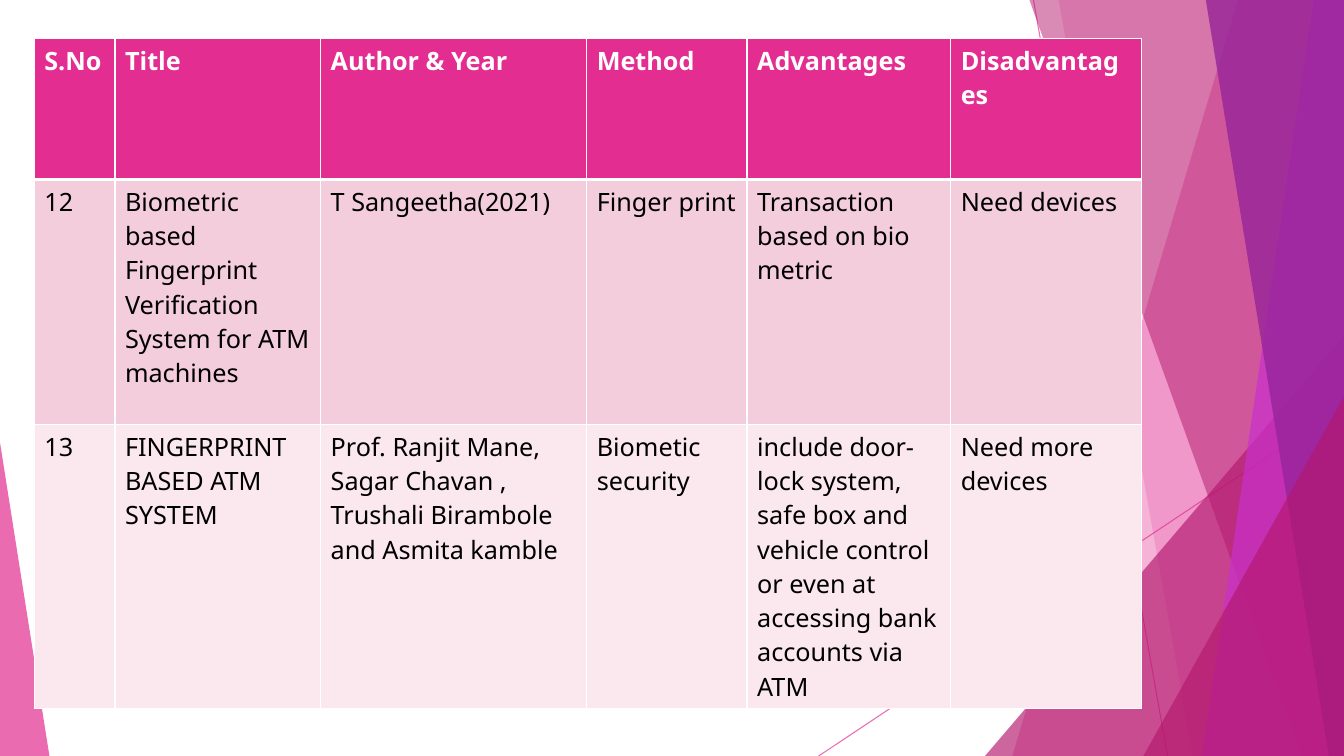
from dataclasses import dataclass

import lxml.etree
import pptx
import pptx.dml.color
import pptx.dml.fill
import pptx.enum.shapes
import pptx.oxml
import pptx.oxml.ns
import pptx.shapes.autoshape
import pptx.shapes.shapetree
import pptx.table
import pptx.util

RGBColor = pptx.dml.color.RGBColor
PINK = RGBColor(0xE3, 0x2D, 0x91)
RASPBERRY = RGBColor(0xB4, 0x18, 0x6E)
VIOLET = RGBColor(0xC8, 0x30, 0xCC)
PURPLE = RGBColor(0x96, 0x24, 0x99)
ROSE = RGBColor(0xF4, 0xCD, 0xDC)
PALE_ROSE = RGBColor(0xFA, 0xE8, 0xEE)
WHITE = RGBColor(0xFF, 0xFF, 0xFF)
BLACK = RGBColor(0, 0, 0)

EMU_PER_PX = 9144  # 100 px to the inch
SLIDE_WIDTH, SLIDE_HEIGHT = 1333, 750
FONT = "Noto Sans"


@dataclass(frozen=True)
class Ray:
    start: tuple[int, int]
    end: tuple[int, int]


@dataclass(frozen=True)
class Band:
    """A facet from its slanted left edge to the right side of the slide."""
    top_left: int
    bottom_left: int
    color: RGBColor
    opacity: int


@dataclass(frozen=True)
class Corner:
    """A right triangle standing on the bottom of the slide."""
    left: int
    top: int
    width: int
    apex: int
    color: RGBColor
    opacity: int


@dataclass(frozen=True)
class RowStyle:
    height: int
    fill: RGBColor
    text: RGBColor
    bold: bool
    top_border: int
    bottom_border: int


RAYS = [Ray((1025, 0), (1158, 750)), Ray((1333, 403), (812, 750))]
FACETS: list[Band | Corner] = [
    Band(1228, 1004, PINK, 36),
    Band(1050, 1183, PINK, 20),
    Corner(977, 333, 356, 1, RASPBERRY, 66),
    Band(1021, 1291, RASPBERRY, 50),
    Band(1303, 1192, VIOLET, 70),
    Band(1196, 1318, PURPLE, 80),
    Corner(1134, 393, 199, 1, RASPBERRY, 66),
    Corner(0, 439, 49, 0, PINK, 70),
]

TABLE_LEFT, TABLE_TOP = 34, 38
COLUMN_WIDTHS = [80, 204, 264, 159, 202, 189]
ROW_STYLES = [
    RowStyle(140, PINK, WHITE, True, 1, 3),
    RowStyle(243, ROSE, BLACK, False, 3, 1),
    RowStyle(243, PALE_ROSE, BLACK, False, 1, 1),
]
SURVEY = [
    ["S.No", "Title", "Author & Year", "Method", "Advantages", "Disadvantages"],
    ["12", "Biometric based Fingerprint Verification System for ATM machines",
     "T Sangeetha(2021)", "Finger print", "Transaction based on bio metric",
     "Need devices"],
    ["13", "FINGERPRINT BASED ATM SYSTEM",
     "Prof. Ranjit Mane, Sagar Chavan , Trushali Birambole and Asmita kamble",
     "Biometic security",
     "include door-lock system, safe box and vehicle control or even at "
     "accessing bank accounts via ATM",
     "Need more devices"],
]


def px(length: int) -> pptx.util.Emu:
    return pptx.util.Emu(length * EMU_PER_PX)


def set_color(fill: pptx.dml.fill.FillFormat, color: RGBColor, opacity: int,
              element: lxml.etree._Element) -> None:
    """Fill solidly and add the opacity, in percent, to the colour inside element."""
    fill.solid()
    fill.fore_color.rgb = color
    color_element = next(element.iter(pptx.oxml.ns.qn("a:srgbClr")))
    alpha = lxml.etree.SubElement(color_element, pptx.oxml.ns.qn("a:alpha"))
    alpha.set("val", str(opacity * 1000))


def draw_ray(shapes: pptx.shapes.shapetree.SlideShapes, ray: Ray) -> None:
    line = shapes.add_connector(pptx.enum.shapes.MSO_CONNECTOR.STRAIGHT,
                                *map(px, ray.start + ray.end))
    line.line.width = pptx.util.Pt(0.75)
    properties = line._element.spPr
    set_color(line.line.fill, PINK, 70, properties)
    lxml.etree.SubElement(properties, pptx.oxml.ns.qn("a:effectLst"))


def add_band(shapes: pptx.shapes.shapetree.SlideShapes,
             band: Band) -> pptx.shapes.autoshape.Shape:
    outline = shapes.build_freeform(band.top_left, 0, scale=EMU_PER_PX)
    outline.add_line_segments([(SLIDE_WIDTH, 0), (SLIDE_WIDTH, SLIDE_HEIGHT),
                               (band.bottom_left, SLIDE_HEIGHT)])
    return outline.convert_to_shape()


def add_corner(shapes: pptx.shapes.shapetree.SlideShapes,
               corner: Corner) -> pptx.shapes.autoshape.Shape:
    triangle = shapes.add_shape(
        pptx.enum.shapes.MSO_SHAPE.ISOSCELES_TRIANGLE, px(corner.left),
        px(corner.top), px(corner.width), px(SLIDE_HEIGHT - corner.top))
    triangle.adjustments[0] = corner.apex
    return triangle


def draw_facet(shapes: pptx.shapes.shapetree.SlideShapes,
               facet: Band | Corner) -> None:
    if isinstance(facet, Band):
        shape = add_band(shapes, facet)
    else:
        shape = add_corner(shapes, facet)
    shape.shadow.inherit = False
    shape.line.fill.background()
    set_color(shape.fill, facet.color, facet.opacity, shape._element.spPr)


def set_borders(cell: pptx.table._Cell, style: RowStyle) -> None:
    widths = {"lnL": 1, "lnR": 1, "lnT": style.top_border,
              "lnB": style.bottom_border}
    properties = cell._tc.get_or_add_tcPr()
    for position, (side, width) in enumerate(widths.items()):
        border = pptx.oxml.parse_xml(
            f'<a:{side} {pptx.oxml.ns.nsdecls("a")} w="{pptx.util.Pt(width)}">'
            f'<a:solidFill><a:srgbClr val="{WHITE}"/></a:solidFill></a:{side}>')
        properties.insert(position, border)


def fill_cell(cell: pptx.table._Cell, text: str, style: RowStyle) -> None:
    cell.fill.solid()
    cell.fill.fore_color.rgb = style.fill
    set_borders(cell, style)
    cell.text_frame.text = text
    font = cell.text_frame.paragraphs[0].runs[0].font
    font.name = FONT
    font.size = pptx.util.Pt(18)
    font.bold = style.bold
    font.color.rgb = style.text


def draw_survey(shapes: pptx.shapes.shapetree.SlideShapes) -> None:
    height = sum(style.height for style in ROW_STYLES)
    table = shapes.add_table(
        len(SURVEY), len(COLUMN_WIDTHS), px(TABLE_LEFT), px(TABLE_TOP),
        px(sum(COLUMN_WIDTHS)), px(height)).table
    for column, width in zip(table.columns, COLUMN_WIDTHS):
        column.width = px(width)
    for row, style, texts in zip(table.rows, ROW_STYLES, SURVEY):
        row.height = px(style.height)
        for cell, text in zip(row.cells, texts):
            fill_cell(cell, text, style)


def main() -> None:
    presentation = pptx.Presentation()
    presentation.slide_width = px(SLIDE_WIDTH)
    presentation.slide_height = px(SLIDE_HEIGHT)
    slide = presentation.slides.add_slide(presentation.slide_layouts[6])
    for ray in RAYS:
        draw_ray(slide.shapes, ray)
    for facet in FACETS:
        draw_facet(slide.shapes, facet)
    draw_survey(slide.shapes)
    presentation.save("out.pptx")


if __name__ == "__main__":
    main()
